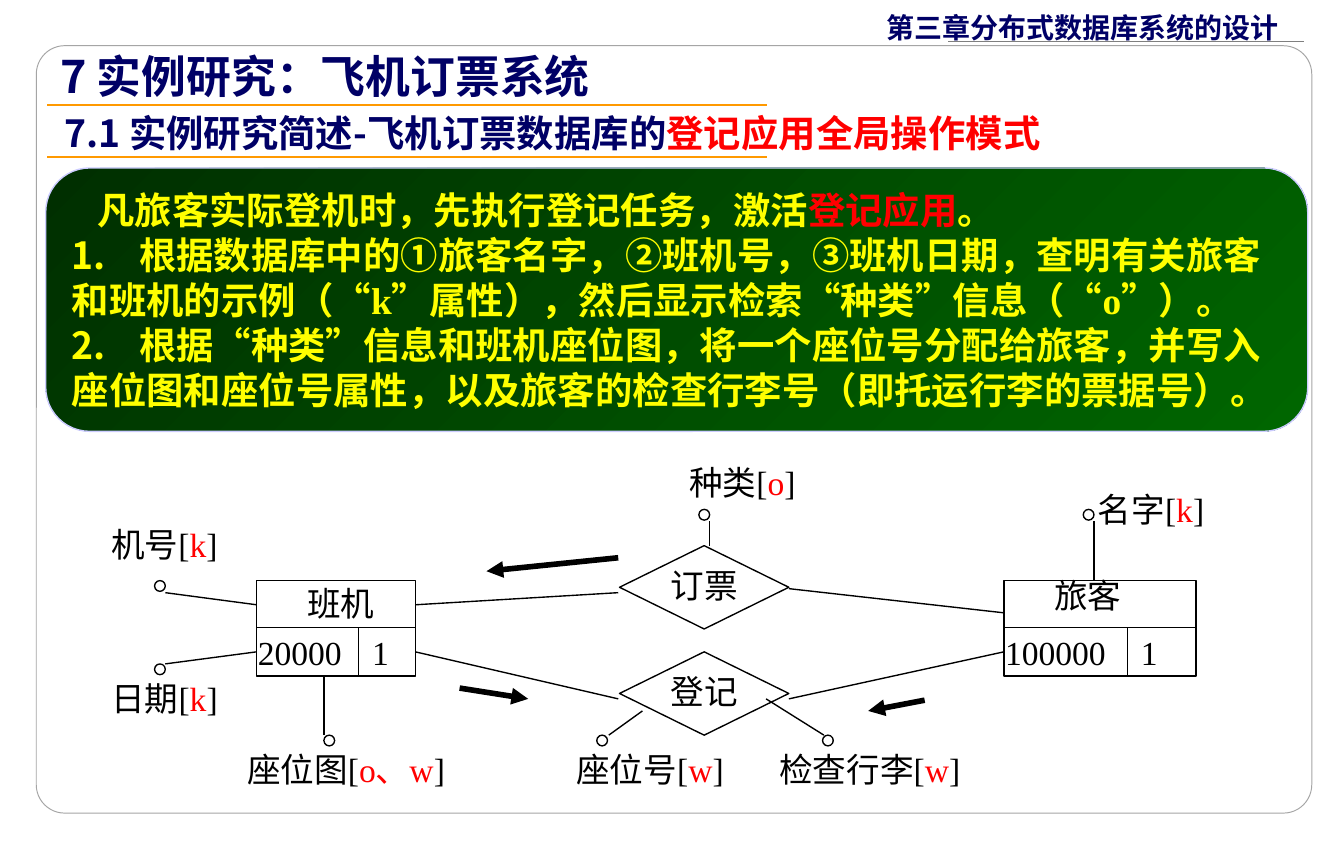
from lxml import etree
from pptx import Presentation, util as u
from pptx.dml.color import RGBColor
from pptx.enum import shapes, text
from pptx.oxml.ns import qn

Inches = u.Inches
Preset = shapes.MSO_SHAPE
COLORS = {"white": "FFFFFF", "black": "000000", "navy": "000066", "red": "FF0000",
          "yellow": "FFFF00", "orange": "FF9900", "frame": "A5A5A5", "rule": "7F7F7F",
          "dark": "002F00", "green": "006600", "edge": "CCCCFF"}
RGB = {name: RGBColor.from_string(value) for name, value in COLORS.items()}
CJK, SERIF = "Noto Sans CJK SC", "Times New Roman"

deck = Presentation()
deck.slide_width, deck.slide_height = Inches(10), Inches(6.28)
page = deck.slides.add_slide(deck.slide_layouts[6])


def add_spans(para, spans, size, font=SERIF, bold=False):
    """Add (text, colour) runs to a paragraph."""
    for words, color in spans:
        span = para.add_run()
        span.text = words
        span.font.size, span.font.bold, span.font.name = u.Pt(size), bold, font
        span.font.color.rgb = RGB[color]
        etree.SubElement(span._r.get_or_add_rPr(), qn("a:ea"), typeface=CJK)


def add_line(start, end, color="black", width=0.75, arrow=False):
    line = page.shapes.add_connector(shapes.MSO_CONNECTOR.STRAIGHT,
                                     *map(Inches, start + end))
    line.line.color.rgb, line.line.width = RGB[color], u.Pt(width)
    if arrow:
        etree.SubElement(line.line._get_or_add_ln(), qn("a:tailEnd"), type="triangle")
    etree.SubElement(line._element.spPr, qn("a:effectLst"))


# Page frame and chapter rule
frame = page.shapes.add_shape(Preset.ROUNDED_RECTANGLE, Inches(0.27), Inches(0.34),
                              Inches(9.49), Inches(5.71))
frame.adjustments[0] = 0.037
frame.shadow.inherit = False
frame.fill.solid()
frame.fill.fore_color.rgb = RGB["white"]
frame.line.color.rgb, frame.line.width = RGB["frame"], u.Pt(0.5)
add_line((9.7, 0.31), (7.05, 0.31), "rule")

# Diagram outlines: attribute circles, entities, relationships
circles = [(1.15, 4.32), (1.15, 4.94), (2.41, 5.47), (5.2, 3.79),
           (4.44, 5.47), (8.06, 3.79), (6.12, 5.47)]
outlines = [(Preset.FLOWCHART_CONNECTOR, x, y, 0.08, 0.08, "") for x, y in circles]
outlines += [(Preset.RECTANGLE, 1.91, 4.32, 1.18, 0.71, ""),
             (Preset.RECTANGLE, 7.47, 4.32, 1.43, 0.71, ""),
             (Preset.DIAMOND, 4.61, 4.06, 1.26, 0.62, "订票"),
             (Preset.DIAMOND, 4.61, 4.85, 1.26, 0.62, "登记")]
for preset, left, top, width, height, words in outlines:
    shape = page.shapes.add_shape(preset, Inches(left), Inches(top),
                                  Inches(width), Inches(height))
    shape.shadow.inherit = False
    shape.fill.solid()
    shape.fill.fore_color.rgb = RGB["white"]
    shape.line.color.rgb, shape.line.width = RGB["black"], u.Pt(0.75)
    if words:
        shape.text_frame.word_wrap = False
        para = shape.text_frame.paragraphs[0]
        para.alignment, para.line_spacing = text.PP_ALIGN.CENTER, 0.9
        add_spans(para, [(words, "black")], 18)

# Entity dividers and links
for start, end in [
    ((1.91, 4.67), (3.09, 4.67)), ((2.67, 4.67), (2.67, 5.03)),
    ((7.47, 4.67), (8.9, 4.67)), ((8.39, 4.67), (8.39, 5.03)),
    ((5.28, 4.06), (5.28, 3.88)), ((8.14, 4.32), (8.14, 3.88)),
    ((2.41, 5.47), (2.41, 5.03)), ((3.09, 4.5), (4.6, 4.41)),
    ((3.09, 4.85), (4.6, 5.2)), ((4.53, 5.47), (4.78, 5.29)),
    ((6.13, 5.47), (5.7, 5.2)), ((1.23, 4.94), (1.91, 4.85)),
    ((1.23, 4.41), (1.91, 4.5)), ((5.87, 4.38), (7.47, 4.56)),
    ((5.87, 5.2), (7.47, 4.85)),
]:
    add_line(start, end)

# Flow arrows
for start, end in [((4.6, 4.15), (3.62, 4.25)), ((3.42, 5.12), (3.93, 5.2)),
                   ((6.88, 5.21), (6.46, 5.29))]:
    add_line(start, end, width=3, arrow=True)

# Diagram labels: name, key letters, left, top, width
labels = [("机号", "k", 0.73, 3.88, 1.43), ("日期", "k", 0.73, 5.03, 1.18),
          ("座位图", "o、w", 1.74, 5.56, 2.11), ("座位号", "w", 4.19, 5.56, 1.85),
          ("检查行李", "w", 5.7, 5.56, 1.77), ("种类", "o", 5.03, 3.42, 1.85),
          ("名字", "k", 8.07, 3.62, 1.52),
          ("班机", "", 1.82, 4.32, 1.43), ("旅客", "", 7.38, 4.26, 1.43),
          ("20000", "", 1.82, 4.69, 1.26), ("1", "", 2.67, 4.69, 0.42),
          ("100000", "", 7.38, 4.69, 1.26), ("1", "", 8.39, 4.69, 0.42)]
for name, key, left, top, width in labels:
    box = page.shapes.add_textbox(Inches(left), Inches(top), Inches(width), Inches(0.37))
    box.text_frame.word_wrap = True
    para = box.text_frame.paragraphs[0]
    para.line_spacing = 0.9
    if name in ("班机", "旅客"):
        para.alignment = text.PP_ALIGN.CENTER
    spans = [(name + "[", "black"), (key, "red"), ("]", "black")] if key else [(name, "black")]
    add_spans(para, spans, 18)

# Green panel
panel = page.shapes.add_shape(Preset.ROUNDED_RECTANGLE, Inches(0.34), Inches(1.25),
                              Inches(9.39), Inches(1.96))
panel.adjustments[0] = 0.167
panel.shadow.inherit = False
panel.fill.gradient()
panel.fill.gradient_angle = 315
for stop, color, position in zip(panel.fill.gradient_stops, ("dark", "green"), (0, 1)):
    stop.color.rgb, stop.position = RGB[color], position
panel.line.color.rgb, panel.line.width = RGB["edge"], u.Pt(0.75)
panel.text_frame.word_wrap = True
panel.text_frame.vertical_anchor = text.MSO_ANCHOR.TOP

# Panel text: list number (0 for none), left margin, spans
steps = [
    (0, 0.19, [("凡旅客实际登机时，先执行登记任务，激活", "yellow"),
               ("登记应用", "red"), ("。", "yellow")]),
    (1, 0.5, [("根据数据库中的①旅客名字，②班机号，③班机日期，查明有关旅客", "yellow")]),
    (0, 0, [("和班机的示例（“k”属性），然后显示检索“种类”信息（“o”）。", "yellow")]),
    (2, 0.5, [("根据“种类”信息和班机座位图，将一个座位号分配给旅客，并写入", "yellow")]),
    (0, 0, [("座位图和座位号属性，以及旅客的检查行李号（即托运行李的票据号）。", "yellow")]),
]
for index, (number, margin, spans) in enumerate(steps):
    frame_text = panel.text_frame
    para = frame_text.add_paragraph() if index else frame_text.paragraphs[0]
    para.alignment = text.PP_ALIGN.LEFT
    props = para._p.get_or_add_pPr()
    props.set("marL", str(Inches(margin)))
    props.set("indent", str(-Inches(margin) if number else 0))
    if number:
        bullet_color = etree.SubElement(props, qn("a:buClr"))
        etree.SubElement(bullet_color, qn("a:srgbClr"), val=COLORS["yellow"])
        etree.SubElement(props, qn("a:buFont"), typeface=SERIF)
        etree.SubElement(props, qn("a:buAutoNum"), type="arabicPeriod", startAt=str(number))
    add_spans(para, spans, 20, bold=True)

# Heading rules and headings
for y in (0.78, 1.17):
    add_line((0.35, y), (5.71, y), "orange", 1)
headings = [
    (6.5, 0.03, 3.15, 0.34, 15, [("第三章", "navy"), ("分布式数据库系统的设计", "navy")]),
    (0.35, 0.31, 5, 0.5, 24, [("7 实例研究：飞机订票系统", "navy")]),
    (0.38, 0.77, 8.56, 0.44, 20, [("7.1 实例研究简述-飞机订票数据库的", "navy"),
                                  ("登记应用全局操作模式", "red")]),
]
for left, top, width, height, size, spans in headings:
    box = page.shapes.add_textbox(Inches(left), Inches(top), Inches(width), Inches(height))
    box.text_frame.word_wrap = True
    add_spans(box.text_frame.paragraphs[0], spans, size, CJK, True)

deck.save("out.pptx")
